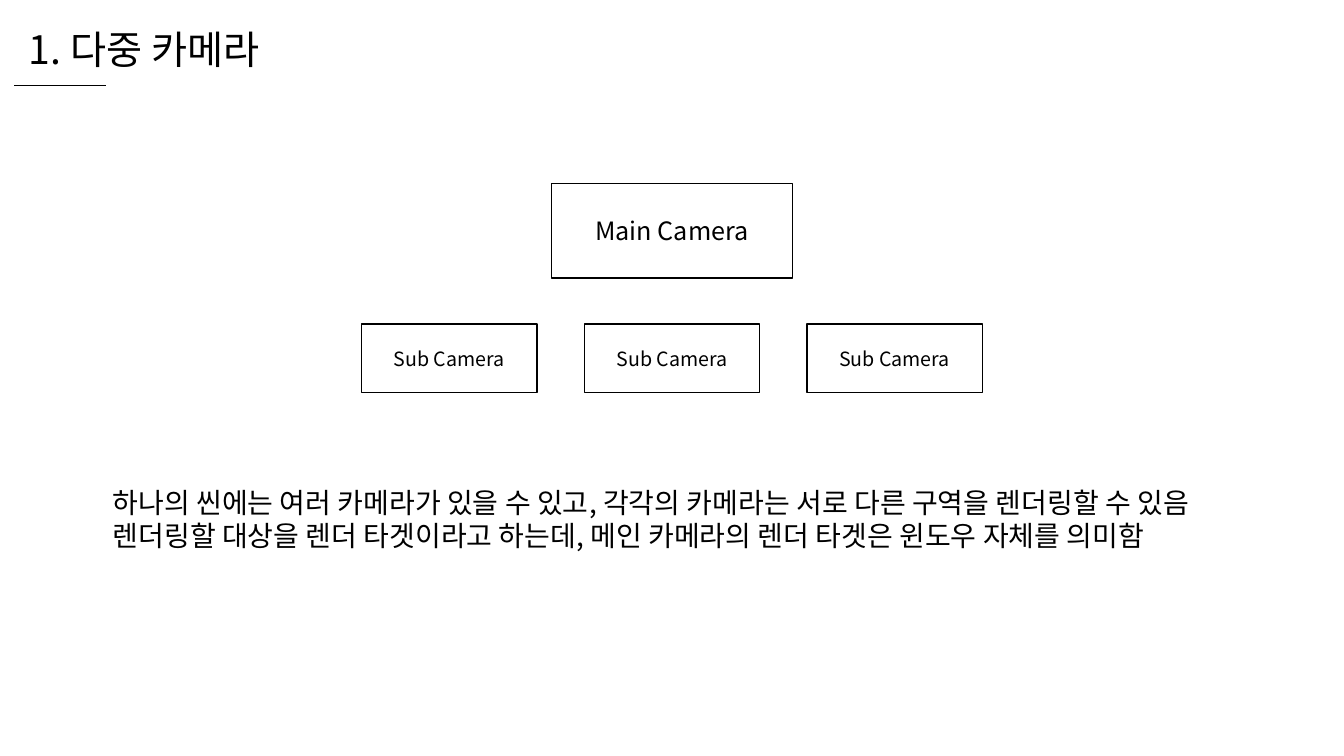
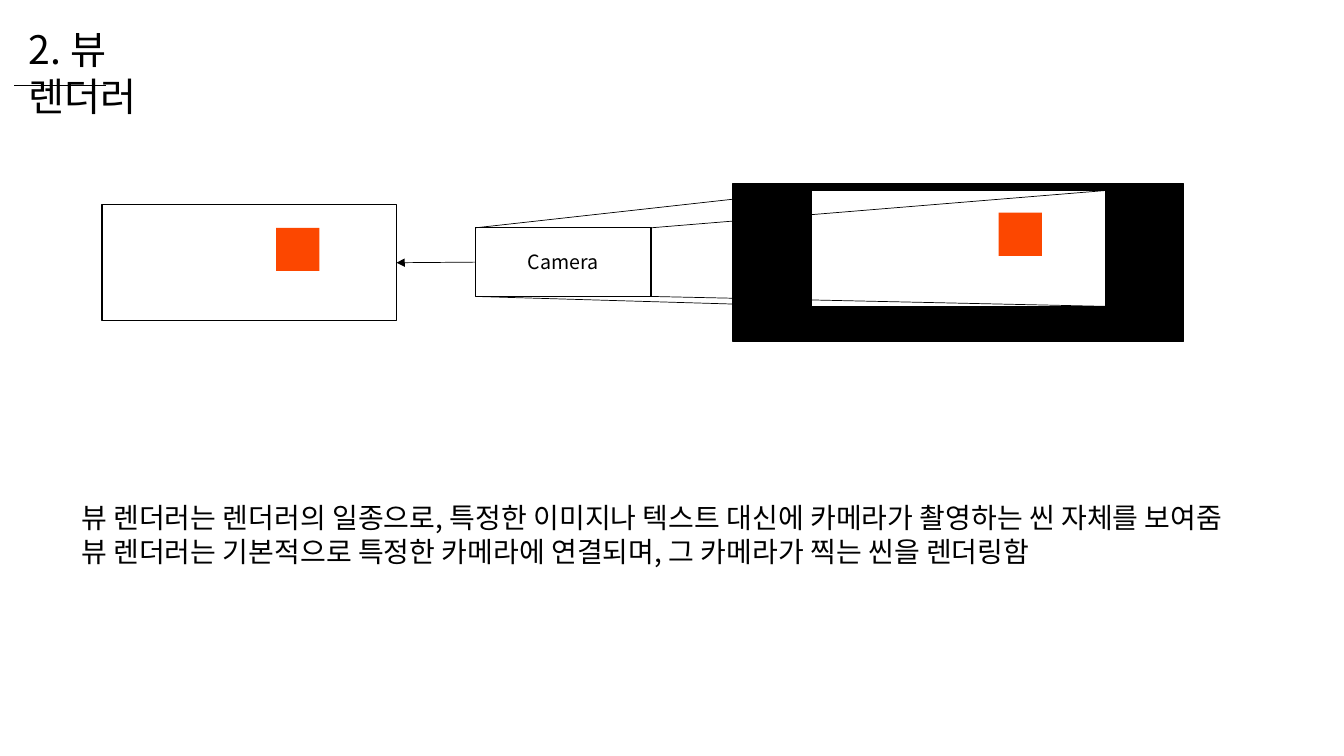
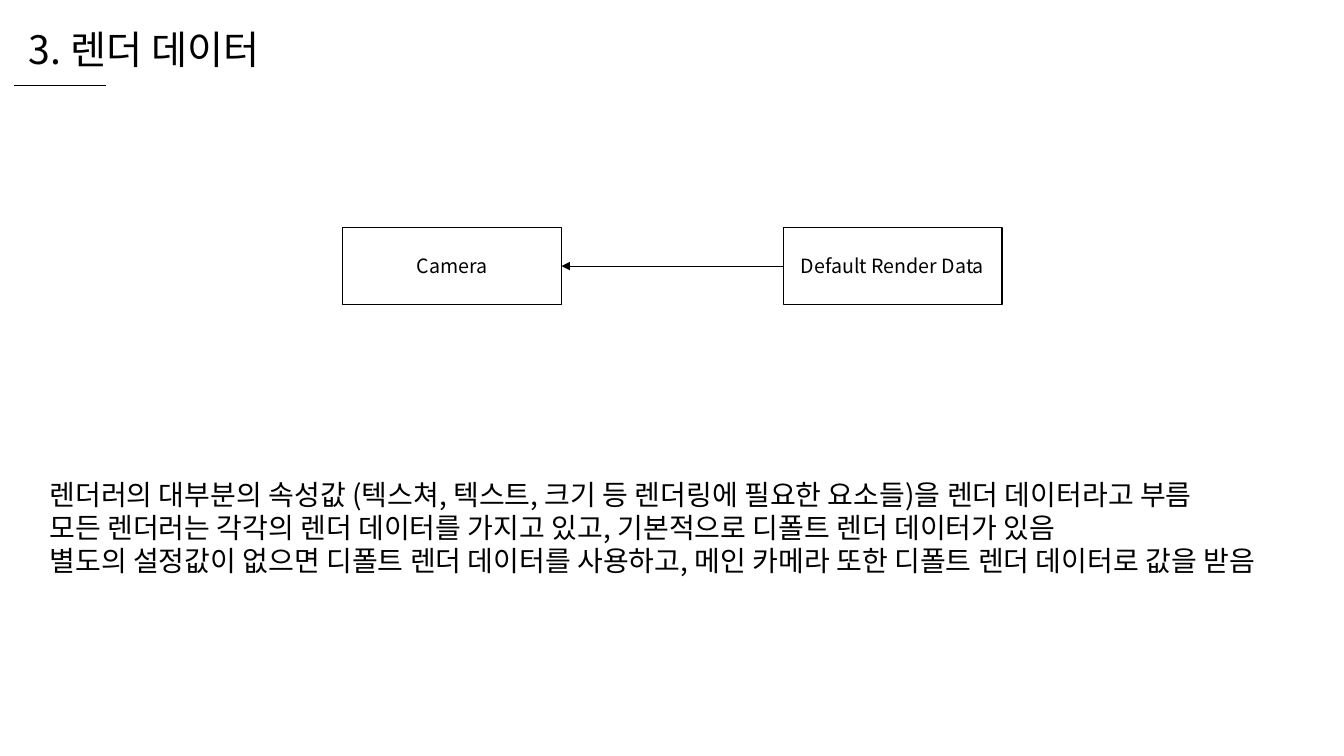
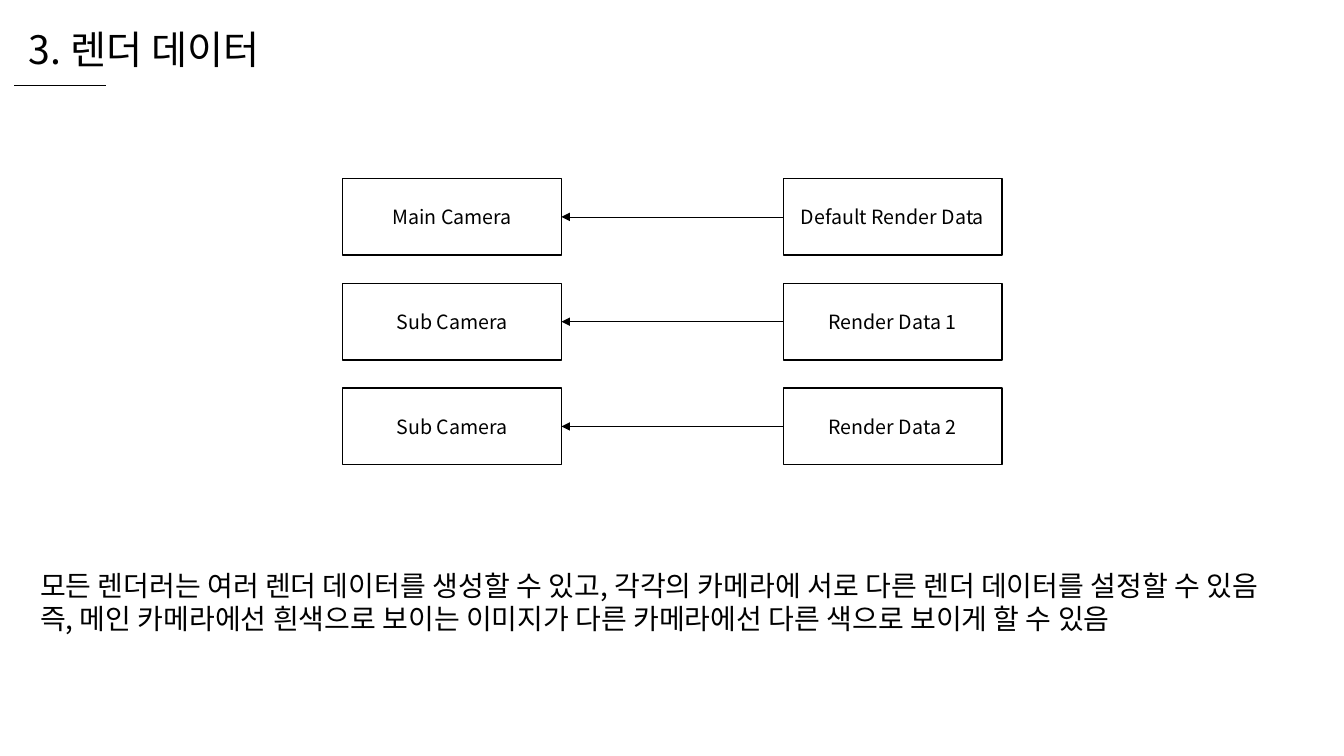
from dataclasses import dataclass

from lxml.etree import SubElement
from pptx import Presentation
from pptx.dml.color import RGBColor
from pptx.enum.shapes import MSO_CONNECTOR, MSO_SHAPE
from pptx.enum.text import MSO_ANCHOR, PP_ALIGN
from pptx.oxml.ns import qn
from pptx.util import Cm, Pt


# Theme
@dataclass(frozen=True)
class Theme:
    font: str = "Noto Sans CJK KR"
    ink: RGBColor = RGBColor(0x00, 0x00, 0x00)
    paper: RGBColor = RGBColor(0xFF, 0xFF, 0xFF)
    accent: RGBColor = RGBColor(0xFC, 0x47, 0x00)
    title_size: int = 28
    body_size: int = 20
    main_size: int = 18
    label_size: int = 14
    line_height: float = 1.19
    border: float = 1
    hairline: float = 0.5


THEME = Theme()
SLIDE_W, SLIDE_H = 33.87, 19.05
LEFT, BOTTOM, RIGHT = 1, 2, 3  # connection sites

# Content: title, title width, left and top of the body, body lines
MULTI_CAMERA = ("1. 다중 카메라", 7.5, 2.59, 12.12, [
    "하나의 씬에는 여러 카메라가 있을 수 있고, 각각의 카메라는 서로 다른 구역을 렌더링할 수 있음",
    "렌더링할 대상을 렌더 타겟이라고 하는데, 메인 카메라의 렌더 타겟은 윈도우 자체를 의미함",
])
VIEW_RENDERER = ("2. 뷰 렌더러", 5, 1.8, 12.5, [
    "뷰 렌더러는 렌더러의 일종으로, 특정한 이미지나 텍스트 대신에 카메라가 촬영하는 씬 자체를 보여줌",
    "뷰 렌더러는 기본적으로 특정한 카메라에 연결되며, 그 카메라가 찍는 씬을 렌더링함",
])
DEFAULT_DATA = ("3. 렌더 데이터", 7.5, 1, 11.91, [
    "렌더러의 대부분의 속성값 (텍스쳐, 텍스트, 크기 등 렌더링에 필요한 요소들)을 렌더 데이터라고 부름",
    "모든 렌더러는 각각의 렌더 데이터를 가지고 있고, 기본적으로 디폴트 렌더 데이터가 있음",
    "별도의 설정값이 없으면 디폴트 렌더 데이터를 사용하고, 메인 카메라 또한 디폴트 렌더 데이터로 값을 받음",
])
CAMERA_DATA = ("3. 렌더 데이터", 7.5, 0.76, 14.2, [
    "모든 렌더러는 여러 렌더 데이터를 생성할 수 있고, 각각의 카메라에 서로 다른 렌더 데이터를 설정할 수 있음",
    "즉, 메인 카메라에선 흰색으로 보이는 이미지가 다른 카메라에선 다른 색으로 보이게 할 수 있음",
])
SUB_CAMERAS = ["Sub Camera"] * 3
DEFAULT_PAIRS = [("Camera", "Default Render Data")]
CAMERA_PAIRS = [
    ("Main Camera", "Default Render Data"),
    ("Sub Camera", "Render Data 1"),
    ("Sub Camera", "Render Data 2"),
]

# Sizes and places in centimetres
SMALL_BOX = (4.42, 1.73)
SUB_PITCH = 5.61
CAMERA = (11.99, 5.74, *SMALL_BOX)
SCENE = (18.47, 4.62, 11.35, 3.99)
FRAME = (20.45, 4.8, 7.42, 2.92)
VIEW = (2.57, 5.16, 7.42, 2.92)
SQUARE = 1.09
SQUARES = [(25.17, 5.36), (6.96, 5.74)]
PAIR_BOX = (5.51, 1.93)
PAIR_LEFTS = (8.64, 19.74)
PAIR_PITCH = 2.64


# Building blocks
def write(text_frame, lines, size, align=PP_ALIGN.LEFT):
    text_frame.word_wrap = True
    for index, line in enumerate(lines):
        paragraph = text_frame.add_paragraph() if index else text_frame.paragraphs[0]
        paragraph.text = line
        paragraph.alignment = align
        paragraph.line_spacing = Pt(round(size * THEME.line_height, 1))
        font = paragraph.font
        font.size = Pt(size)
        font.color.rgb = THEME.ink
        font.name = THEME.font
        defaults = paragraph._p.pPr.find(qn("a:defRPr"))
        SubElement(defaults, qn("a:ea")).set("typeface", THEME.font)


def add_text(slide, left, top, width, height, lines, size):
    box = slide.shapes.add_textbox(Cm(left), Cm(top), Cm(width), Cm(height))
    write(box.text_frame, lines, size)


def add_box(slide, left, top, width, height, label=None, size=THEME.label_size,
            fill=THEME.paper, outlined=True):
    shape = slide.shapes.add_shape(
        MSO_SHAPE.RECTANGLE, Cm(left), Cm(top), Cm(width), Cm(height))
    shape.shadow.inherit = False
    shape.fill.solid()
    shape.fill.fore_color.rgb = fill
    if outlined:
        shape.line.color.rgb = THEME.ink
        shape.line.width = Pt(THEME.border)
    else:
        shape.line.fill.background()
    if label:
        shape.text_frame.vertical_anchor = MSO_ANCHOR.MIDDLE
        write(shape.text_frame, [label], size, PP_ALIGN.CENTER)
    return shape


def add_line(slide, start=(0, 0), end=(0, 0)):
    line = slide.shapes.add_connector(
        MSO_CONNECTOR.STRAIGHT, *(Cm(value) for value in (*start, *end)))
    line.line.color.rgb = THEME.ink
    line.line.width = Pt(THEME.hairline)
    SubElement(line._element.spPr, qn("a:effectLst"))
    return line


def add_arrow(slide, source, target):
    """Arrow from the left side of source to the right side of target."""
    arrow = add_line(slide)
    arrow.begin_connect(source, LEFT)
    arrow.end_connect(target, RIGHT)
    outline = arrow._element.spPr.find(qn("a:ln"))
    SubElement(outline, qn("a:tailEnd")).set("type", "triangle")


def corners(left, top, width, height):
    return [(x, y) for x in (left, left + width) for y in (top, top + height)]


def add_slide(presentation, content):
    title, title_width, left, top, lines = content
    slide = presentation.slides.add_slide(presentation.slide_layouts[6])
    add_text(slide, 0.48, 0.53, title_width, 1.45, [title], THEME.title_size)
    add_line(slide, (0.36, 2.16), (2.66, 2.16))
    add_text(slide, left, top, SLIDE_W - 2 * left, 1.4 * len(lines), lines,
             THEME.body_size)
    return slide


def add_pairs(slide, pairs, first_top):
    for row, (camera, data) in enumerate(pairs):
        top = first_top + row * PAIR_PITCH
        target, source = (add_box(slide, left, top, *PAIR_BOX, label)
                          for left, label in zip(PAIR_LEFTS, (camera, data)))
        add_arrow(slide, source, target)


# Slides
def build_multi_camera(presentation):
    slide = add_slide(presentation, MULTI_CAMERA)
    add_box(slide, 13.9, 4.62, 6.07, 2.39, "Main Camera", THEME.main_size)
    width, height = SMALL_BOX
    first_left = (SLIDE_W - width - SUB_PITCH * (len(SUB_CAMERAS) - 1)) / 2
    for index, label in enumerate(SUB_CAMERAS):
        add_box(slide, first_left + index * SUB_PITCH, 8.17, width, height, label)


def build_view_renderer(presentation):
    slide = add_slide(presentation, VIEW_RENDERER)
    camera = add_box(slide, *CAMERA, "Camera")
    add_box(slide, *SCENE, fill=THEME.ink)
    add_box(slide, *FRAME)
    view = add_box(slide, *VIEW)
    add_arrow(slide, camera, view)
    for start, end in zip(corners(*CAMERA), corners(*FRAME)):
        add_line(slide, start, end)
    for left, top in SQUARES:
        add_box(slide, left, top, SQUARE, SQUARE, fill=THEME.accent, outlined=False)


def main():
    presentation = Presentation()
    presentation.slide_width = Cm(SLIDE_W)
    presentation.slide_height = Cm(SLIDE_H)
    build_multi_camera(presentation)
    build_view_renderer(presentation)
    add_pairs(add_slide(presentation, DEFAULT_DATA), DEFAULT_PAIRS, 5.74)
    add_pairs(add_slide(presentation, CAMERA_DATA), CAMERA_PAIRS, 4.5)
    presentation.save("out.pptx")


if __name__ == "__main__":
    main()
